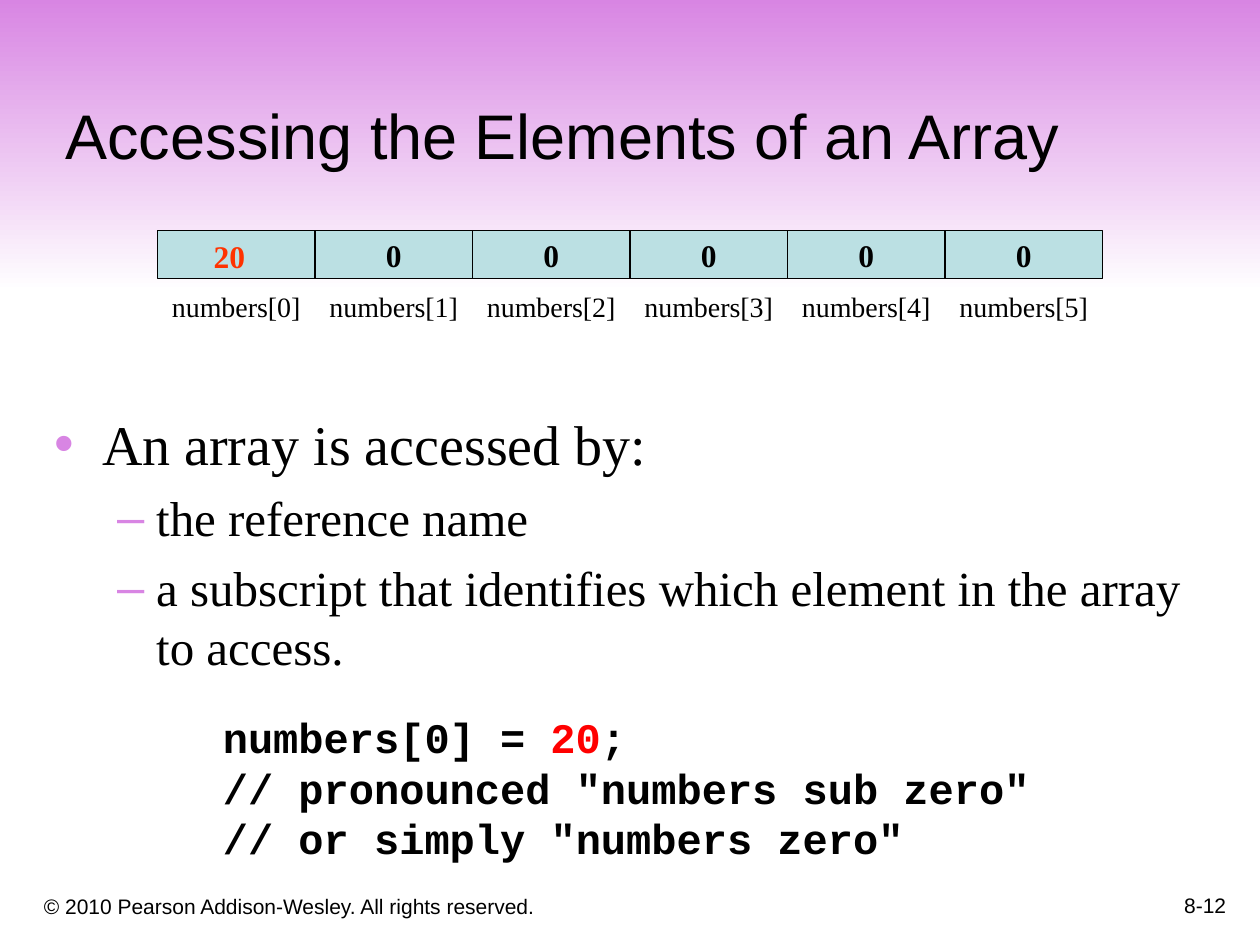
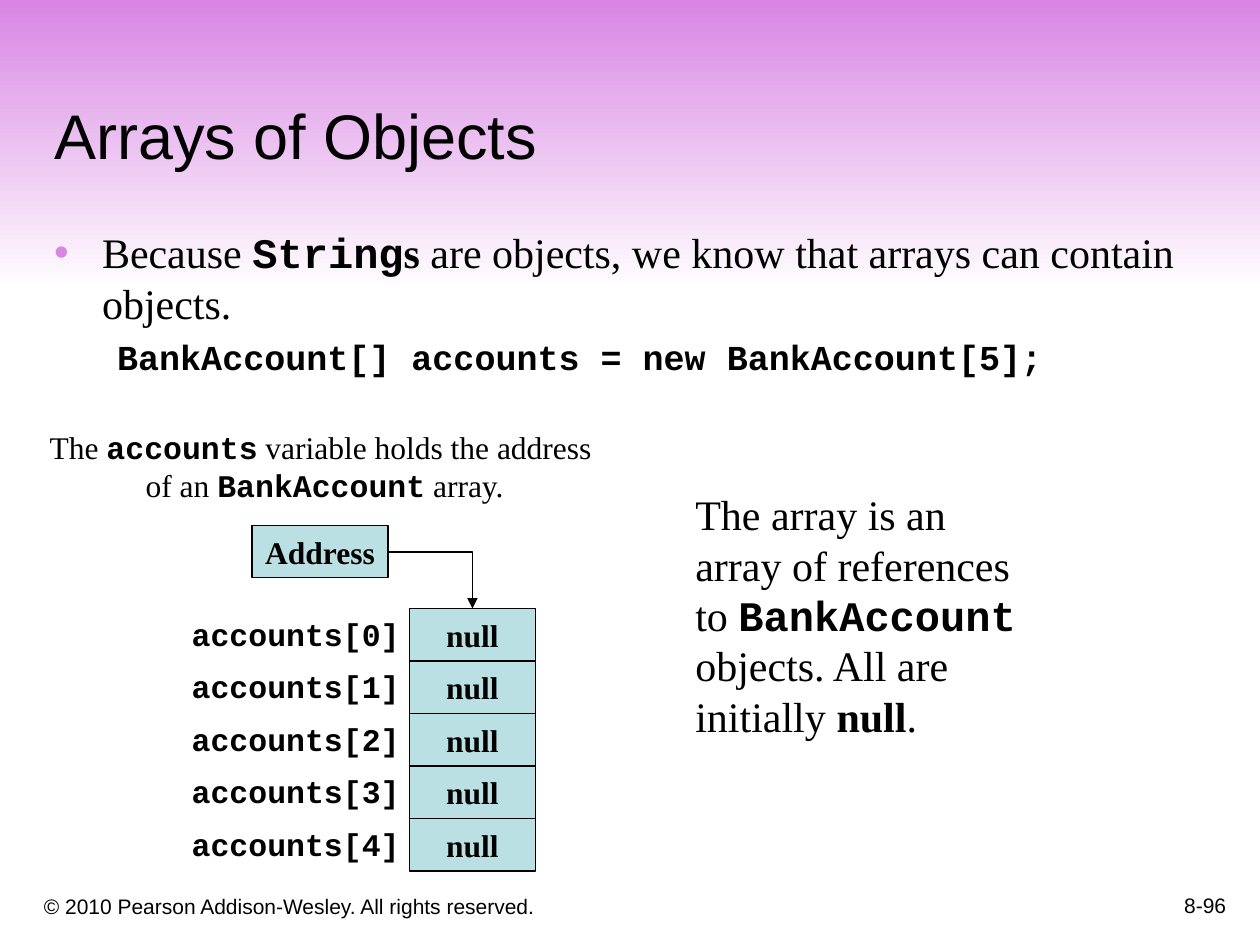
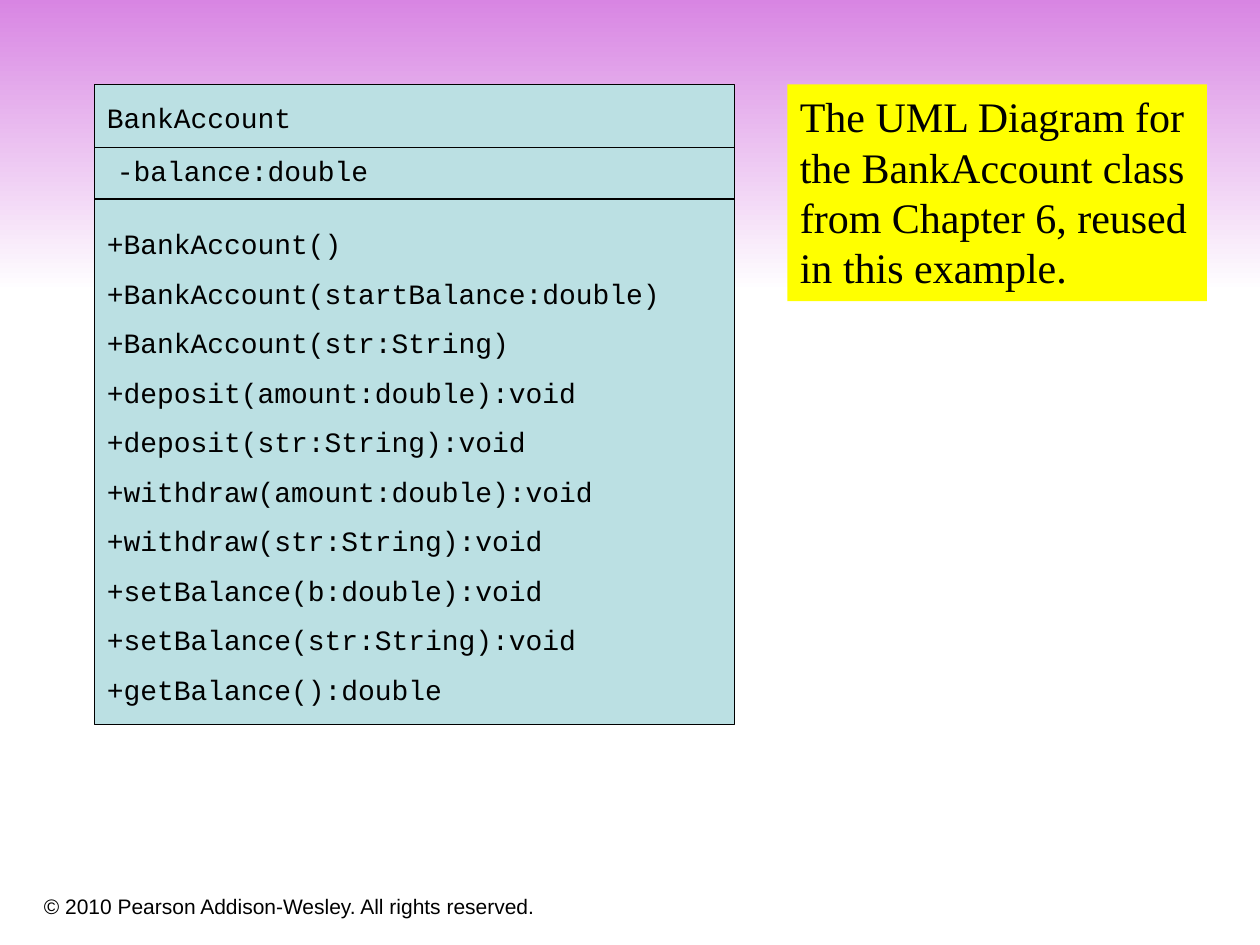
from dataclasses import dataclass
from typing import NamedTuple

import pptx
import pptx.dml.color
import pptx.enum.shapes
import pptx.enum.text
import pptx.oxml
import pptx.oxml.ns
import pptx.util
from pptx.util import Inches

# Shared look
SANS, SERIF, MONO = "Arial", "Times New Roman", "Courier New"
BLACK, WHITE, RED, ORANGE = "000000", "FFFFFF", "FF0000", "FF3300"
ORCHID, CELL_BLUE, YELLOW = "D885E3", "BBE0E3", "FFFF00"
COPYRIGHT = "© 2010 Pearson Addison-Wesley. All rights reserved."
LINE_HEIGHT = 1.14

ALIGN = pptx.enum.text.PP_ALIGN
ANCHOR = pptx.enum.text.MSO_ANCHOR
SHAPE = pptx.enum.shapes.MSO_SHAPE
CONNECTOR = pptx.enum.shapes.MSO_CONNECTOR


class Run(NamedTuple):
    text: str
    font: str = SERIF
    bold: bool = False
    color: str = BLACK


@dataclass
class Box:
    left: float
    top: float
    width: float
    height: float

    def emu(self) -> list:
        return [Inches(v) for v in (self.left, self.top, self.width, self.height)]


@dataclass
class Item:
    runs: list
    size: float
    level: int = 0
    bullet: str = ""


def rgb(color: str):
    return pptx.dml.color.RGBColor.from_string(color)


def add_element(parent, xml: str) -> None:
    ns = pptx.oxml.ns.nsdecls("a")
    parent.append(pptx.oxml.parse_xml(xml.replace("/>", f" {ns}/>", 1) if xml.endswith("/>")
                                      and xml.count("<") == 1 else xml.replace(">", f" {ns}>", 1)))


# Text
def fill_paragraph(p, runs: list, size: float) -> None:
    for run in runs:
        r = p.add_run()
        r.text = run.text
        r.font.name, r.font.size = run.font, pptx.util.Pt(size)
        r.font.bold = run.bold
        r.font.color.rgb = rgb(run.color)


def write(sp, paragraphs: list, size: float, align=ALIGN.LEFT, anchor=ANCHOR.TOP,
          wrap: bool = True, gap: float = 0) -> None:
    """Write paragraphs; gap is the space between them as a share of a line."""
    tf = sp.text_frame
    tf.word_wrap = wrap
    tf.auto_size = pptx.enum.text.MSO_AUTO_SIZE.NONE
    tf.vertical_anchor = anchor
    for i, runs in enumerate(paragraphs):
        p = tf.add_paragraph() if i else tf.paragraphs[0]
        p.alignment = align
        if i and gap:
            p.space_before = pptx.util.Pt(round(size * LINE_HEIGHT * gap, 1))
        fill_paragraph(p, runs, size)


def add_text(s, box: Box, paragraphs: list, size: float, **style):
    sp = s.shapes.add_textbox(*box.emu())
    write(sp, paragraphs, size, **style)
    return sp


def place(sp, box: Box) -> None:
    sp.left, sp.top, sp.width, sp.height = box.emu()


def set_title(s, text: str, box: Box) -> None:
    place(s.shapes.title, box)
    write(s.shapes.title, [[Run(text, SANS)]], 36, anchor=ANCHOR.BOTTOM)


def set_body(s, box: Box, items: list) -> None:
    sp = s.placeholders[1]
    place(sp, box)
    tf = sp.text_frame
    tf.auto_size = pptx.enum.text.MSO_AUTO_SIZE.NONE
    tf.margin_right = 0
    for i, item in enumerate(items):
        p = tf.add_paragraph() if i else tf.paragraphs[0]
        p.level = item.level
        margin, hang = [(0.38, 0.38), (0.81, 0.31)][item.level]
        pPr = p._p.get_or_add_pPr()
        pPr.set("marL", str(Inches(margin)))
        pPr.set("indent", str(-Inches(hang)))
        if item.bullet:
            add_element(pPr, f'<a:buClr><a:srgbClr val="{ORCHID}"/></a:buClr>')
            add_element(pPr, f'<a:buChar char="{item.bullet}"/>')
        else:
            add_element(pPr, "<a:buNone/>")
        p.space_before = pptx.util.Pt(round(item.size * LINE_HEIGHT * 0.2, 1) if i else 0)
        fill_paragraph(p, item.runs, item.size)


# Shapes and lines
def add_box(s, box: Box, fill: str, line: str = ""):
    sp = s.shapes.add_shape(SHAPE.RECTANGLE, *box.emu())
    sp.shadow.inherit = False
    sp.fill.solid()
    sp.fill.fore_color.rgb = rgb(fill)
    if line:
        sp.line.color.rgb = rgb(line)
        sp.line.width = pptx.util.Pt(0.75)
    else:
        sp.line.fill.background()
    return sp


def add_cell(s, box: Box, text: str = "") -> None:
    sp = add_box(s, box, CELL_BLUE, BLACK)
    if text:
        write(sp, [[Run(text, bold=True)]], 18, ALIGN.CENTER, ANCHOR.MIDDLE, wrap=False)


def add_line(s, x1: float, y1: float, x2: float, y2: float, kind=CONNECTOR.STRAIGHT):
    line = s.shapes.add_connector(kind, Inches(x1), Inches(y1), Inches(x2), Inches(y2))
    line.line.color.rgb = rgb(BLACK)
    line.line.width = pptx.util.Pt(0.75)
    add_element(line._element.spPr, "<a:effectLst/>")
    return line


# Slide frame: gradient band, copyright line and page number
def add_slide(prs, layout: int, page: str = ""):
    s = prs.slides.add_slide(prs.slide_layouts[layout])
    band = s.shapes.add_shape(SHAPE.PENTAGON, *Box(0, -0.01, 10, 2.33).emu())
    band.adjustments[0] = 0
    band.shadow.inherit = False
    band.line.fill.background()
    band.fill.gradient()
    band.fill.gradient_angle = 270
    for stop, color, position in zip(band.fill.gradient_stops, (ORCHID, WHITE), (0, 1)):
        stop.color.rgb = rgb(color)
        stop.position = position
    band._element.getparent().insert(2, band._element)
    add_text(s, Box(0.25, 6.92, 6.08, 0.42), [[Run(COPYRIGHT, SANS)]], 12, anchor=ANCHOR.BOTTOM)
    if page:
        add_text(s, Box(7.75, 6.83, 2.08, 0.5), [[Run(page, SANS)]], 12,
                 align=ALIGN.RIGHT, anchor=ANCHOR.BOTTOM)
    return s


def accessing_elements(prs) -> None:
    s = add_slide(prs, 1, "8-12")
    set_title(s, "Accessing the Elements of an Array", Box(0.42, 0.17, 8.5, 1.25))
    set_body(s, Box(0.33, 3.2, 9.07, 3.55), [
        Item([Run("An array is accessed by:")], 32, 0, "•"),
        Item([Run("the reference name")], 28, 1, "–"),
        Item([Run("a subscript that identifies which element in the array to access.")], 28, 1, "–"),
    ])
    add_text(s, Box(1.67, 5.6, 8.08, 1.31), [
        [Run("numbers[0] = ", MONO, True), Run("20", MONO, True, RED), Run(";", MONO, True)],
        [Run('// pronounced "numbers sub zero"', MONO, True)],
        [Run('// or simply "numbers zero"', MONO, True)],
    ], 24)

    # Row of array elements
    width = 1.25
    for i in range(6):
        left = 1.25 + i * width
        add_cell(s, Box(left, 1.83, width, 0.38), "0" if i else "")
        add_text(s, Box(left, 2.25, width, 0.37), [[Run(f"numbers[{i}]")]], 16, align=ALIGN.CENTER)
    add_text(s, Box(1.58, 1.83, 0.48, 0.4), [[Run("20", bold=True, color=ORANGE)]], 18,
             align=ALIGN.CENTER)


def arrays_of_objects(prs) -> None:
    s = add_slide(prs, 1, "8-96")
    set_title(s, "Arrays of Objects", Box(0.33, 0.33, 9.42, 1.09))
    set_body(s, Box(0.33, 1.75, 9.07, 1.61), [
        Item([Run("Because "), Run("String", MONO, True), Run("s", bold=True),
              Run(" are objects, we know that arrays can contain objects.")], 24, 0, "•"),
        Item([Run("BankAccount[] accounts = new BankAccount[5];", MONO, True)], 20, 1),
    ])
    add_text(s, Box(0.29, 3.35, 4.51, 0.7), [
        [Run("The "), Run("accounts", MONO, True), Run(" variable holds the address")],
        [Run(" of an "), Run("BankAccount", MONO, True), Run(" array.")],
    ], 18, align=ALIGN.CENTER, wrap=False)

    # Reference variable and the column of elements it points to
    row = 5 / 12
    add_cell(s, Box(2, 4.17, 1.08, row), "Address")
    for i in range(5):
        top = 4.83 + i * row
        add_cell(s, Box(3.25, top, 1, row), "null")
        add_text(s, Box(1.25, top, 2.02, 0.4), [[Run(f"accounts[{i}]", MONO, True)]], 18,
                 align=ALIGN.RIGHT)
    arrow = add_line(s, 3.08, 4.38, 3.75, 4.83, CONNECTOR.ELBOW)
    arrow._element.spPr.find(pptx.oxml.ns.qn("a:prstGeom")).set("prst", "bentConnector2")
    add_element(arrow.line._get_or_add_ln(), '<a:tailEnd type="triangle"/>')

    add_text(s, Box(5.42, 3.83, 2.75, 2.12), [[
        Run("The array is an array of references to "), Run("BankAccount", MONO, True),
        Run(" objects. All are initially "), Run("null", bold=True), Run("."),
    ]], 24)


def uml_diagram(prs) -> None:
    s = add_slide(prs, 6)
    add_box(s, Box(0.75, 0.67, 5.08, 5.08), CELL_BLUE, BLACK)
    for y in (1.17, 1.58):
        add_line(s, 0.75, y, 5.83, y)
    methods = [
        "+BankAccount()",
        "+BankAccount(startBalance:double)",
        "+BankAccount(str:String)",
        "+deposit(amount:double):void",
        "+deposit(str:String):void",
        "+withdraw(amount:double):void",
        "+withdraw(str:String):void",
        "+setBalance(b:double):void",
        "+setBalance(str:String):void",
        "+getBalance():double",
    ]
    for box, lines in [
        (Box(0.75, 0.75, 5, 0.37), ["BankAccount"]),
        (Box(0.83, 1.17, 4.5, 0.37), ["-balance:double"]),
        (Box(0.75, 1.75, 5.08, 3.98), methods),
    ]:
        add_text(s, box, [[Run(line, MONO)] for line in lines], 16, gap=0.5)
    note = add_box(s, Box(6.25, 0.67, 3.33, 1.72), YELLOW)
    write(note, [[Run("The UML Diagram for the BankAccount class from Chapter 6, "
                      "reused in this example.")]], 24)


def main() -> None:
    prs = pptx.Presentation()
    prs.slide_width, prs.slide_height = Inches(10), Inches(7.5)
    accessing_elements(prs)
    arrays_of_objects(prs)
    uml_diagram(prs)
    prs.save("out.pptx")


if __name__ == "__main__":
    main()
